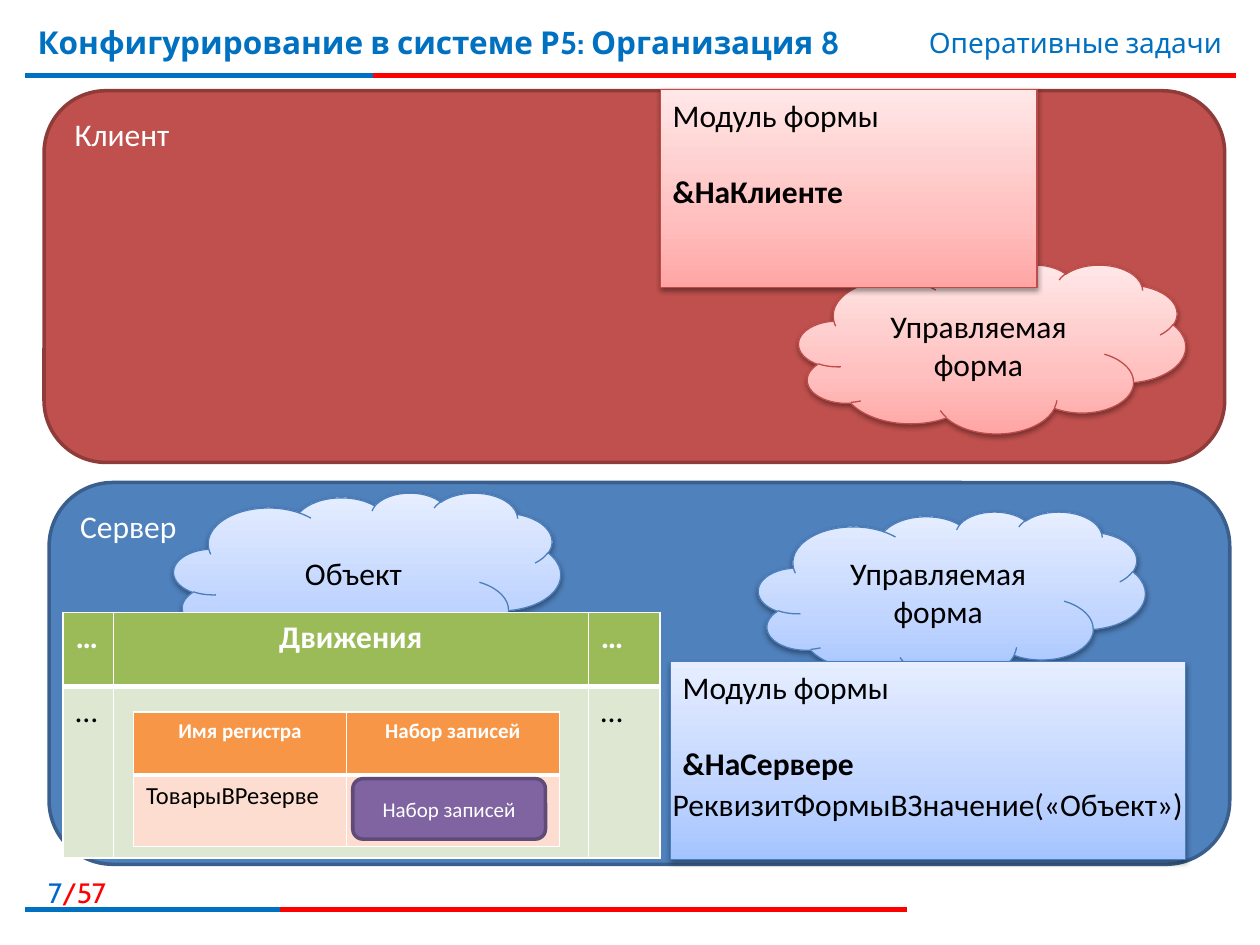
import pptx
import pptx.util
import pptx.dml.color
import pptx.enum.shapes
import pptx.enum.text
import pptx.oxml
import pptx.oxml.ns

Inches, Pt = pptx.util.Inches, pptx.util.Pt
SHAPE = pptx.enum.shapes.MSO_SHAPE
ALIGN = {"l": pptx.enum.text.PP_ALIGN.LEFT, "c": pptx.enum.text.PP_ALIGN.CENTER,
         "r": pptx.enum.text.PP_ALIGN.RIGHT}
ANCHOR = pptx.enum.text.MSO_ANCHOR
NS = pptx.oxml.ns.nsdecls("a")

# Gradient stops and outline for each side
BLUE = ([(0, "A4C4FF"), (35, "BFD4FF"), (100, "E6EEFF")], "4B7EBC")
PINK = ([(0, "FFA6A5"), (35, "FFC0BF"), (100, "FFE7E7")], "BF4C48")


def rgb(code):
    return pptx.dml.color.RGBColor.from_string(code)


def write(frame, text, size=18, font="Calibri", color="000000", bold=False,
          align="l", middle=False, gap=0, first=True):
    """Add one paragraph; text is a string or a list of (string, color)."""
    frame.word_wrap = True
    if middle is not None:
        frame.vertical_anchor = ANCHOR.MIDDLE if middle else ANCHOR.TOP
    para = frame.paragraphs[0] if first else frame.add_paragraph()
    para.alignment = ALIGN[align]
    if gap:
        para.space_before = Pt(gap)
    for part, tint in [(text, color)] if isinstance(text, str) else text:
        run = para.add_run()
        run.text = part
        run.font.name, run.font.size, run.font.bold = font, Pt(size), bold
        run.font.color.rgb = rgb(tint)


def label(slide, box, text, **form):
    frame = slide.shapes.add_textbox(*map(Inches, box)).text_frame
    write(frame, text, **form)


def rule(slide, left, right, top, color):
    line = slide.shapes.add_connector(
        pptx.enum.shapes.MSO_CONNECTOR.STRAIGHT,
        Inches(left), Inches(top), Inches(right), Inches(top))
    line.line.color.rgb = rgb(color)
    line.line.width = Pt(3)
    line._element.spPr.append(pptx.oxml.parse_xml(f"<a:effectLst {NS}/>"))


def shape(slide, kind, box, edge, width):
    item = slide.shapes.add_shape(kind, *map(Inches, box))
    item.shadow.inherit = False
    item.line.color.rgb = rgb(edge)
    item.line.width = Pt(width)
    return item


def panel(slide, box, fill, edge, text, **form):
    item = shape(slide, SHAPE.ROUNDED_RECTANGLE, box, edge, 2)
    item.fill.solid()
    item.fill.fore_color.rgb = rgb(fill)
    write(item.text_frame, text, color="FFFFFF", **form)


def glossy(slide, kind, box, theme):
    """Shape with an upward gradient and a soft shadow."""
    stops, edge = theme
    item = shape(slide, kind, box, edge, 0.75)
    marks = "".join(f'<a:gs pos="{pos * 1000}"><a:srgbClr val="{tint}"/></a:gs>'
                    for pos, tint in stops)
    props = item._element.spPr
    props.insert(2, pptx.oxml.parse_xml(
        f'<a:gradFill {NS} rotWithShape="1"><a:gsLst>{marks}</a:gsLst>'
        '<a:lin ang="16200000" scaled="1"/></a:gradFill>'))
    props.find(pptx.oxml.ns.qn("a:effectLst")).append(pptx.oxml.parse_xml(
        f'<a:outerShdw {NS} blurRad="40000" dist="20000" dir="5400000" '
        'rotWithShape="0"><a:srgbClr val="000000"><a:alpha val="38000"/>'
        '</a:srgbClr></a:outerShdw>'))
    return item.text_frame


def cloud(slide, left, top, theme, text):
    frame = glossy(slide, SHAPE.CLOUD, (left, top, 3.07, 1.34), theme)
    write(frame, text, align="c", middle=True)


def module(slide, box, theme, mode):
    frame = glossy(slide, SHAPE.RECTANGLE, box, theme)
    write(frame, "Модуль формы")
    write(frame, mode, bold=True, gap=22, first=False)


def border(cell, foot):
    props = cell._tc.get_or_add_tcPr()
    for spot, side in enumerate("LRTB"):
        width = Pt(foot if side == "B" else 1)
        props.insert(spot, pptx.oxml.parse_xml(
            f'<a:ln{side} {NS} w="{width}"><a:solidFill>'
            f'<a:srgbClr val="FFFFFF"/></a:solidFill></a:ln{side}>'))


def grid(slide, left, top, cols, rows, fills, cells, sizes, aligns):
    """Table with a bold header row and a plain body row."""
    table = slide.shapes.add_table(
        len(rows), len(cols), Inches(left), Inches(top),
        Inches(sum(cols)), Inches(sum(rows))).table
    table.first_row = table.horz_banding = False
    for col, width in zip(table.columns, cols):
        col.width = Inches(width)
    for r, height in enumerate(rows):
        table.rows[r].height = Inches(height)
        head = r == 0
        for c, text in enumerate(cells[r]):
            cell = table.cell(r, c)
            cell.fill.solid()
            cell.fill.fore_color.rgb = rgb(fills[r])
            border(cell, 3 if head else 1)
            if text:
                write(cell.text_frame, text, size=sizes[r], bold=head,
                      color="FFFFFF" if head else "000000",
                      align=aligns[c] if head else "l", middle=None)


def main():
    deck = pptx.Presentation()
    deck.slide_width, deck.slide_height = Inches(10), Inches(7.5)
    slide = deck.slides.add_slide(deck.slide_layouts[6])

    # Header and footer
    for top, mid, end in [(0.6, 2.96, 9.81), (7.22, 2.22, 7.2)]:
        rule(slide, 0.2, end, top, "FF0000")
        rule(slide, 0.2, mid, top, "0070C0")
    label(slide, (-0.1, 6.9, 1.04, 0.32), [("7", "0066CC"), ("/57", "FF0000")],
          size=16, font="Cabin", align="r")
    label(slide, (0.2, 0.13, 7.4, 0.62),
          "Конфигурирование в системе Р5: Организация 8",
          font="Cabin", color="0070C0", bold=True)
    label(slide, (5.94, 0.15, 3.86, 0.37), "Оперативные задачи",
          size=16, font="Cabin", color="0070C0", align="r")

    # Client and server areas
    panel(slide, (0.35, 0.72, 9.37, 2.95), "C0504D", "8E3B39", "Клиент")
    panel(slide, (0.39, 3.83, 9.37, 3.03), "4F81BD", "3A5F8C", "Сервер")

    # Managed form on both sides, with its modules
    cloud(slide, 6.02, 4.06, BLUE, "Управляемая форма")
    cloud(slide, 6.34, 2.1, PINK, "Управляемая форма")
    module(slide, (5.24, 0.71, 2.99, 1.57), PINK, "&НаКлиенте")
    module(slide, (5.32, 5.25, 4.09, 1.57), BLUE, "&НаСервере")
    label(slide, (5.24, 6.18, 4.43, 0.4), "РеквизитФормыВЗначение(«Объект»)")

    # Object with its register records
    cloud(slide, 1.38, 3.91, BLUE, "Объект")
    grid(slide, 0.5, 4.86, [0.4, 3.77, 0.57], [0.59, 1.36],
         ["9BBB59", "DEE7D1"], [["…", "Движения", "…"], ["…", "", "…"]],
         [18, 18], "lcl")
    grid(slide, 1.06, 5.65, [1.69, 1.69], [0.5, 0.57],
         ["F79646", "FCDDCF"],
         [["Имя регистра", "Набор записей"], ["ТоварыВРезерве", ""]],
         [12, 14], "cc")
    panel(slide, (2.8, 6.18, 1.53, 0.48), "8064A2", "5F4A78", "Набор записей",
          size=12, align="c", middle=True)

    deck.save("out.pptx")


if __name__ == "__main__":
    main()
